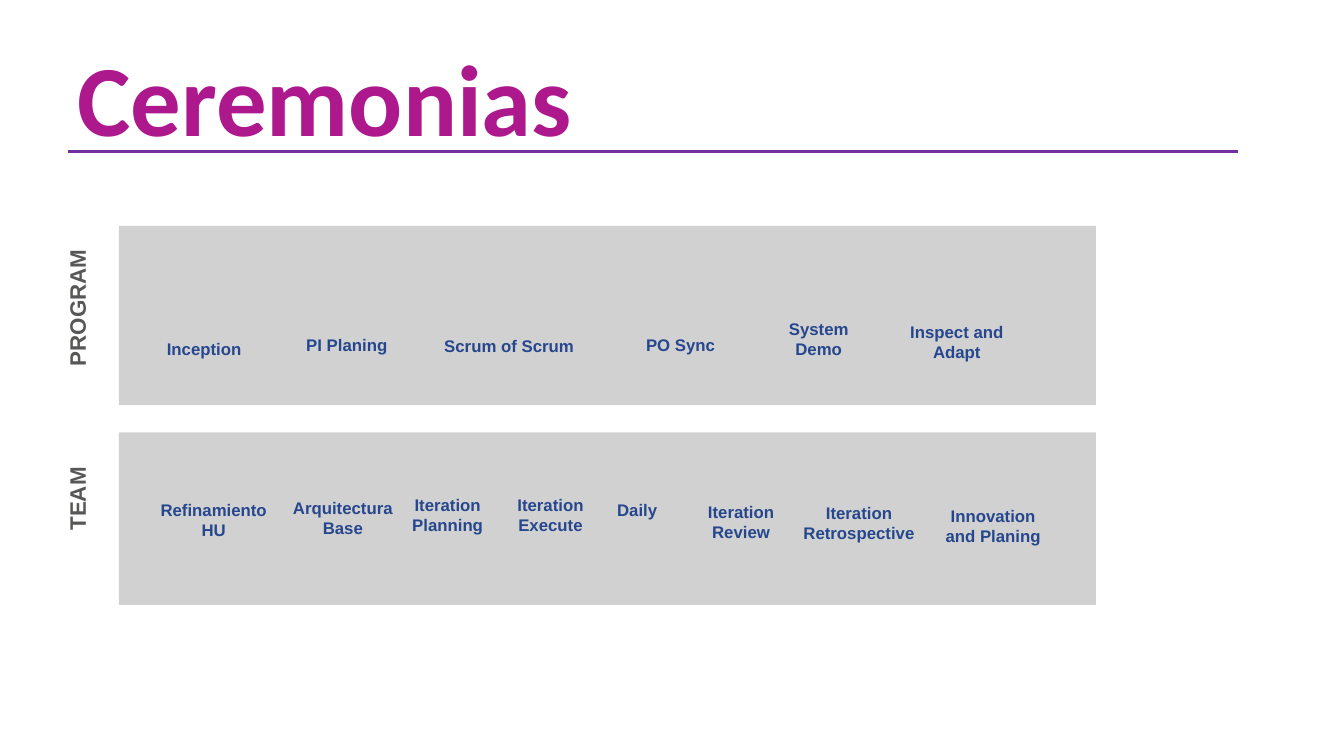
from lxml import etree
from pptx import Presentation
from pptx.dml.color import RGBColor
from pptx.enum import shapes, text
from pptx.oxml.ns import qn
from pptx.util import Inches, Pt

TITLE = "Ceremonias"
# Each band: name, top, height, label top, label height,
# ceremonies as (wording, left, top, width, lines)
BANDS = [
    ("PROGRAM", 2.24, 1.78, 2.24, 1.63, [
        ("Inception", 1.48, 3.31, 1.09, 1),
        ("PI Planing", 2.83, 3.27, 1.22, 1),
        ("Scrum of Scrum", 4.27, 3.28, 1.56, 1),
        ("PO Sync", 6.14, 3.27, 1.22, 1),
        ("System Demo", 7.51, 3.11, 1.22, 2),
        ("Inspect and Adapt", 8.88, 3.14, 1.22, 2),
    ]),
    ("TEAM", 4.29, 1.71, 4.35, 1.2, [
        ("Refinamiento HU", 1.45, 4.91, 1.34, 2),
        ("Arquitectura Base", 2.79, 4.89, 1.22, 2),
        ("Iteration Planning", 3.83, 4.86, 1.22, 2),
        ("Iteration Execute", 4.85, 4.86, 1.22, 2),
        ("Daily", 5.71, 4.91, 1.22, 1),
        ("Iteration Review", 6.74, 4.93, 1.22, 2),
        ("Iteration Retrospective", 7.77, 4.94, 1.5, 2),
        ("Innovation and Planing", 9.24, 4.97, 1.22, 2),
    ]),
]
BAND_LEFT, BAND_WIDTH = 1.18, 9.69
LABEL_LEFT, LABEL_WIDTH = 0.58, 0.47
LINE_HEIGHTS = {1: 0.3, 2: 0.5}

# Text styles: font, size, colour
THEME = {
    "title": ("Calibri", 72, "AD198D"),
    "label": ("Arial", 16, "575756"),
    "ceremony": ("Arial", 12, "26478D"),
    "band": "A5A5A5",
    "band_opacity": 50,
    "rule": "7030A0",
    "rule_width": 2.25,
}


def add_text(slide, wording, box, style, align=text.PP_ALIGN.CENTER):
    """Add a wrapped, bold text box and return its text frame."""
    font, size, colour = THEME[style]
    tf = slide.shapes.add_textbox(*map(Inches, box)).text_frame
    tf.word_wrap = True
    p = tf.paragraphs[0]
    p.alignment = align
    r = p.add_run()
    r.text = wording
    r.font.name, r.font.size, r.font.bold = font, Pt(size), True
    r.font.color.rgb = RGBColor.from_string(colour)
    return tf


def add_title(slide):
    tf = add_text(slide, TITLE, (0.67, 0.3, 11.5, 1.45), "title",
                  text.PP_ALIGN.LEFT)
    tf.vertical_anchor = text.MSO_ANCHOR.MIDDLE
    tf.paragraphs[0].line_spacing = 0.9
    rule = slide.shapes.add_connector(
        shapes.MSO_CONNECTOR.STRAIGHT,
        Inches(0.67), Inches(1.5), Inches(12.28), Inches(1.5))
    rule.line.color.rgb = RGBColor.from_string(THEME["rule"])
    rule.line.width = Pt(THEME["rule_width"])
    etree.SubElement(rule._element.spPr, qn("a:effectLst"))


def add_band(slide, top, height):
    sp = slide.shapes.add_shape(
        shapes.MSO_SHAPE.RECTANGLE,
        *map(Inches, (BAND_LEFT, top, BAND_WIDTH, height)))
    sp.shadow.inherit = False
    sp.line.fill.background()
    sp.fill.solid()
    sp.fill.fore_color.rgb = RGBColor.from_string(THEME["band"])
    colour = sp._element.spPr.find(qn("a:solidFill"))[0]
    etree.SubElement(colour, qn("a:alpha"),
                     val=str(THEME["band_opacity"] * 1000))


def main():
    prs = Presentation()
    prs.slide_width, prs.slide_height = Inches(13.33), Inches(7.5)
    s = prs.slides.add_slide(prs.slide_layouts[6])
    add_title(s)
    for name, top, height, label_top, label_height, ceremonies in BANDS:
        add_band(s, top, height)
        label = add_text(
            s, name, (LABEL_LEFT, label_top, LABEL_WIDTH, label_height), "label")
        label._txBody.bodyPr.set("vert", "vert270")
        for wording, left, y, width, lines in ceremonies:
            tf = add_text(s, wording, (left, y, width, LINE_HEIGHTS[lines]),
                          "ceremony")
            tf.auto_size = text.MSO_AUTO_SIZE.SHAPE_TO_FIT_TEXT
    prs.save("out.pptx")


if __name__ == "__main__":
    main()
